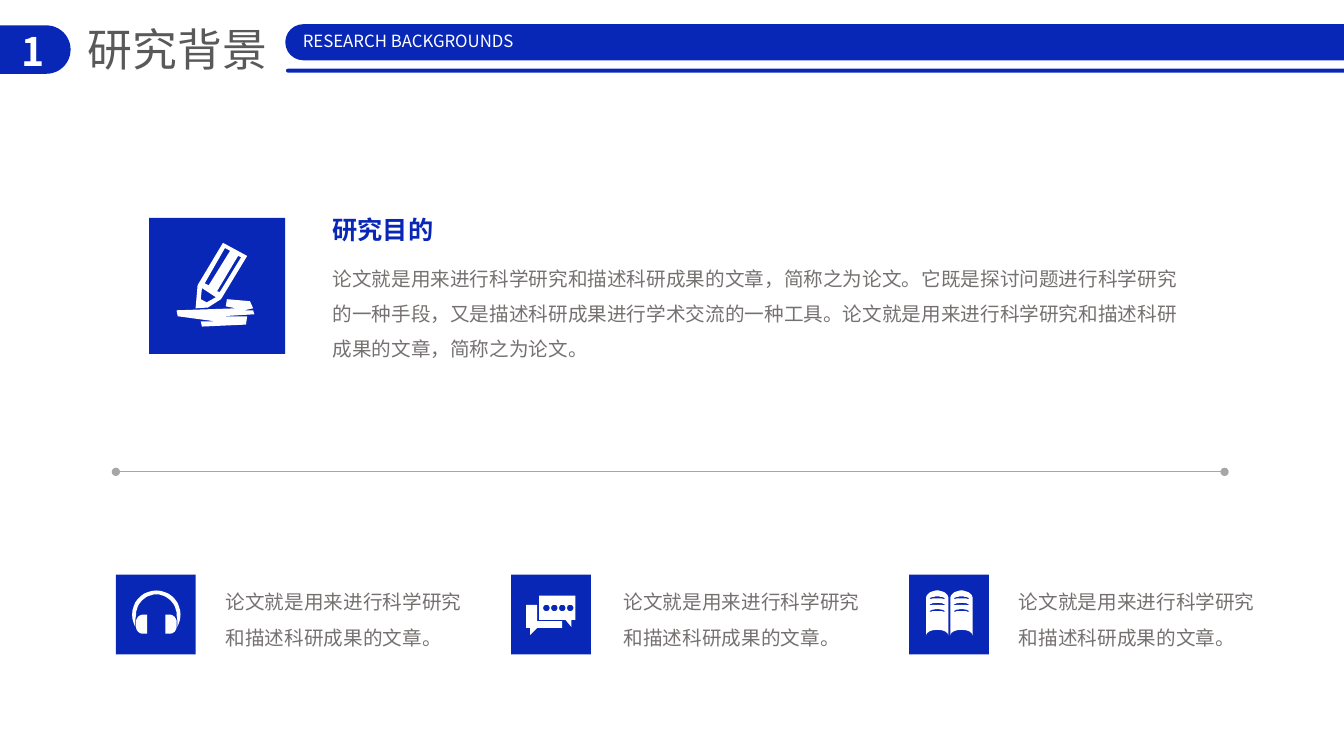
from math import cos, sin, radians
from lxml.etree import SubElement as Sub
from pptx import Presentation
from pptx.dml.color import RGBColor
from pptx.enum.shapes import MSO_CONNECTOR as Link, MSO_SHAPE as Kind
from pptx.enum.text import MSO_ANCHOR as Anchor, MSO_AUTO_SIZE as Fit, PP_ALIGN as Align
from pptx.oxml.ns import qn
from pptx.util import Cm, Pt

BLUE = RGBColor(0x09, 0x27, 0xB6)
WHITE = RGBColor(0xFF, 0xFF, 0xFF)
DARK = RGBColor(0x59, 0x59, 0x59)
GRAY = RGBColor(0x76, 0x71, 0x71)
PALE = RGBColor(0xA6, 0xA6, 0xA6)
FONT = "Noto Sans CJK SC"


def write(box, text, size, color, bold=False, align=Align.LEFT, wrap=True, space=1.0):
    frame = box.text_frame
    frame.word_wrap = wrap
    frame.auto_size = Fit.SHAPE_TO_FIT_TEXT
    frame.vertical_anchor = Anchor.TOP
    frame.text = text
    para = frame.paragraphs[0]
    para.alignment = align
    para.line_spacing = space
    font = para.font
    font.name, font.size, font.bold = FONT, Pt(size), bold
    font.color.rgb = color
    Sub(para._p.pPr.find(qn("a:defRPr")), qn("a:ea"), typeface=FONT)


def arc(x, y, wide, high, start, end):
    turns = [radians(start + (end - start) * i / 24) for i in range(25)]
    return [(x + wide * cos(t), y + high * sin(t)) for t in turns]


deck = Presentation()
deck.slide_width, deck.slide_height = Cm(33.87), Cm(19.05)
slide = deck.slides.add_slide(deck.slide_layouts[5])
shapes = slide.shapes

# Title
title = shapes.title
title.left, title.top, title.width, title.height = Cm(1.96), Cm(0.41), Cm(5.08), Cm(1.63)
write(title, "研究背景", 32, DARK, wrap=False)

# Header bars and icon tiles
tops = 14.48
tiles = [2.92, 12.88, 22.91]
blocks = [
    (Kind.ROUNDED_RECTANGLE, -0.71, 0.64, 2.49, 1.22),
    (Kind.ROUNDED_RECTANGLE, 7.19, 0.61, 28.02, 0.91),
    (Kind.ROUNDED_RECTANGLE, 7.21, 1.73, 28.02, 0.1),
    (Kind.RECTANGLE, 3.76, 5.49, 3.43, 3.43),
] + [(Kind.RECTANGLE, left, tops, 2.01, 2.01) for left in tiles]
for kind, *area in blocks:
    block = shapes.add_shape(kind, *[Cm(v) for v in area])
    block.shadow.inherit = False
    block.fill.solid()
    block.fill.fore_color.rgb = BLUE
    block.line.fill.background()
    if kind == Kind.ROUNDED_RECTANGLE:
        block.adjustments[0] = 0.5

# Header text
badge = shapes.add_textbox(Cm(0.18), Cm(0.56), Cm(1.3), Cm(1.45))
write(badge, "1", 28, WHITE, bold=True, align=Align.CENTER)
label = shapes.add_textbox(Cm(7.24), Cm(0.66), Cm(6.1), Cm(0.76))
write(label, "RESEARCH BACKGROUNDS", 12, WHITE, align=Align.CENTER, wrap=False)

# Research aim
head = shapes.add_textbox(Cm(8.13), Cm(5.28), Cm(3.07), Cm(1.02))
write(head, "研究目的", 18, BLUE, bold=True, wrap=False)
body = shapes.add_textbox(Cm(8.13), Cm(6.3), Cm(21.97), Cm(2.84))
write(body, "论文就是用来进行科学研究和描述科研成果的文章，简称之为论文。"
      "它既是探讨问题进行科学研究的一种手段，又是描述科研成果进行学术交流的一种工具。"
      "论文就是用来进行科学研究和描述科研成果的文章，简称之为论文。", 14, GRAY, space=1.5)

# Divider with round ends
rule = shapes.add_connector(Link.STRAIGHT, Cm(2.92), Cm(11.89), Cm(30.86), Cm(11.89))
rule.line.color.rgb = PALE
rule.line.width = Pt(0.5)
props = rule._element.spPr
for end in ("a:headEnd", "a:tailEnd"):
    Sub(props.find(qn("a:ln")), qn(end), type="oval")
Sub(props, qn("a:effectLst"))

# Three notes
for left, width in [(5.44, 6.88), (15.47, 6.53), (25.43, 6.65)]:
    note = shapes.add_textbox(Cm(left), Cm(14.45), Cm(width), Cm(2.06))
    write(note, "论文就是用来进行科学研究和描述科研成果的文章。", 14, GRAY, space=1.5)

# Icon outlines, in hundredths of a centimetre
pencil = [
    [(117, 0), (178, 33), (112, 142), (79, 163), (48, 165), (53, 107)],
    [(175, 206), (178, 185), (114, 185), (196, 180), (193, 170), (170, 170),
     (193, 165), (185, 147), (127, 142), (124, 160), (150, 165), (0, 170),
     (3, 185), (99, 198), (61, 198), (64, 211)],
    [(76, 150), (99, 137), (64, 114), (61, 142)],
    [(155, 33), (102, 122), (109, 124), (163, 36)],
    [(122, 13), (71, 102), (81, 107), (135, 20)],
]
band = arc(61, 61, 61, 61, 150, 390) + [(114, 74)] + arc(61, 61, 51, 51, 360, 180) + [(8, 74)]
cup = [(38, 61)] + arc(28, 79, 18, 18, 270, 180) + arc(28, 91, 18, 18, 180, 90) + [(38, 109)]
phones = [band, cup, [(122 - x, y) for x, y in cup]]
back = [(10, 99), (28, 81), (91, 81), (91, 64), (28, 64), (28, 23), (0, 23), (0, 81), (10, 81)]
front = [(99, 61), (114, 79), (114, 61), (124, 61), (124, 0), (33, 0), (33, 61), (91, 61)]
chat = [back, front] + [arc(51 + 20 * i, 31, 8, 8, 0, 360) for i in range(4)]
page = [arc(28, 20, 28, 20, 180, 360) + arc(28, 114, 28, 15, 360, 180)]
page += [arc(28, y, 20, 7, 180, 360) + arc(28, y, 20, 2, 360, 180) for y in (22, 38, 54)]
book = page + [[(x + 61, y) for x, y in loop] for loop in page]

# Icons
icons = [(pencil, 4.45, 6.12), (phones, 3.33, 14.88), (chat, 13.26, 15.01), (book, 23.34, 14.88)]
for loops, left, top in icons:
    pen = shapes.build_freeform(*loops[0][0], scale=Cm(0.01))
    pen.add_line_segments(loops[0][1:])
    for loop in loops[1:]:
        pen.move_to(*loop[0])
        pen.add_line_segments(loop[1:])
    icon = pen.convert_to_shape(Cm(left), Cm(top))
    icon.shadow.inherit = False
    icon.fill.solid()
    icon.fill.fore_color.rgb = WHITE
    icon.line.fill.background()

deck.save("out.pptx")
